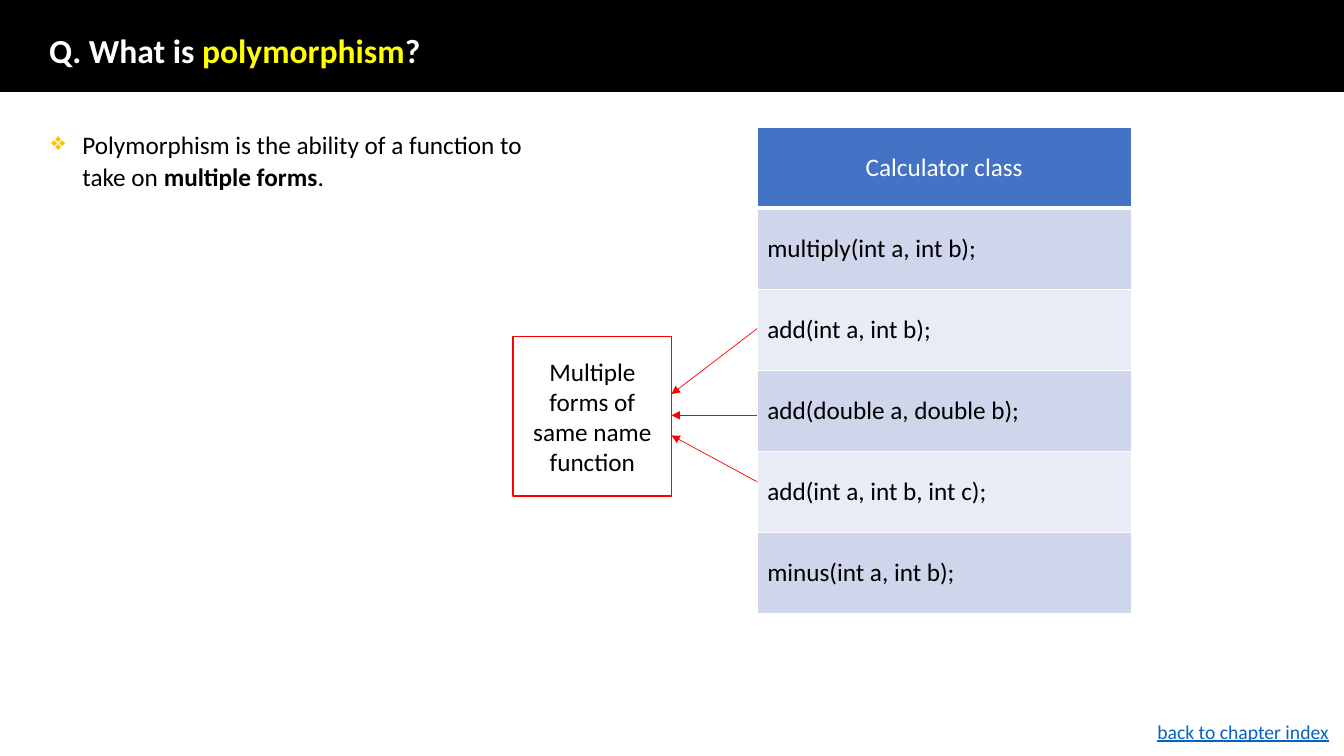
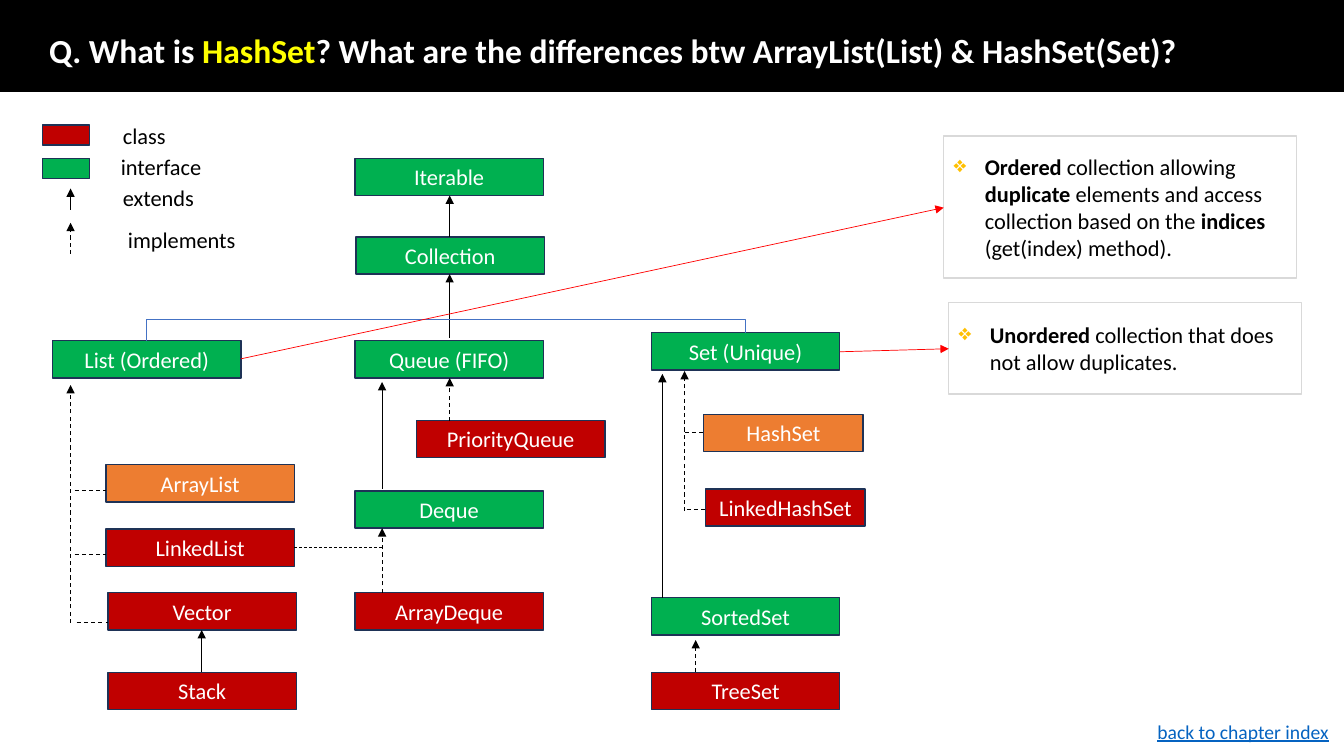
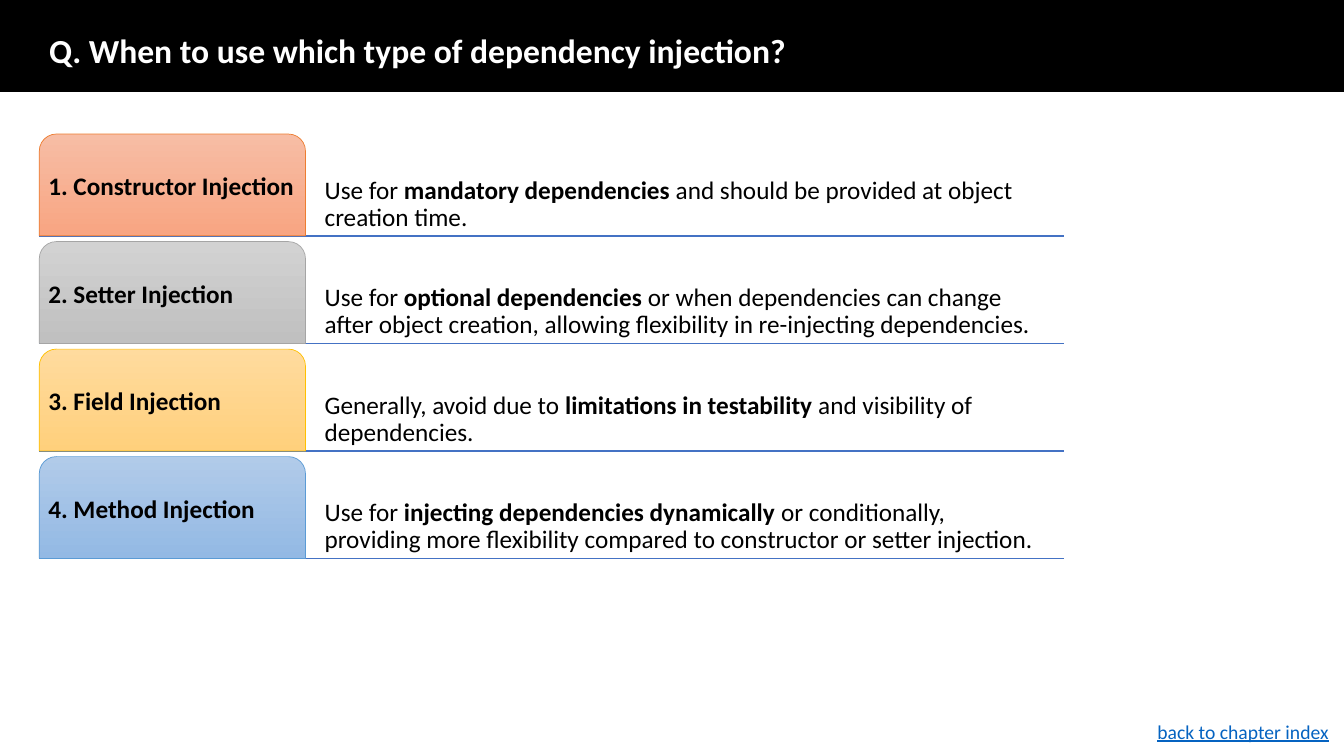
from lxml.etree import SubElement
from pptx import Presentation
from pptx.dml.color import RGBColor
from pptx.enum.dml import MSO_LINE
from pptx.enum.shapes import MSO_CONNECTOR, MSO_SHAPE
from pptx.enum.text import MSO_ANCHOR, PP_ALIGN
from pptx.oxml.ns import qn
from pptx.util import Inches, Pt

FONT = "Calibri"
BLACK = RGBColor(0x00, 0x00, 0x00)
WHITE = RGBColor(0xFF, 0xFF, 0xFF)
YELLOW = RGBColor(0xFF, 0xFF, 0x00)
RED = RGBColor(0xFF, 0x00, 0x00)
BLUE = RGBColor(0x44, 0x72, 0xC4)
LINK_BLUE = RGBColor(0x05, 0x63, 0xC1)
GOLD = RGBColor(0xFF, 0xC0, 0x00)
LIGHT_GRAY = RGBColor(0xD9, 0xD9, 0xD9)
NAVY = RGBColor(0x1E, 0x32, 0x56)
CLASS_RED = RGBColor(0xC0, 0x00, 0x00)
INTERFACE_GREEN = RGBColor(0x00, 0xB0, 0x50)
FOCUS_ORANGE = RGBColor(0xED, 0x7D, 0x31)
ROW_DARK = RGBColor(0xCF, 0xD5, 0xEA)
ROW_LIGHT = RGBColor(0xE9, 0xEB, 0xF5)

BOX_HEIGHT = 0.37


# Text
def add_runs(paragraph, pieces, size, underline=None):
    for text, color, bold in pieces:
        run = paragraph.add_run()
        run.text = text
        run.font.name = FONT
        run.font.size = Pt(size)
        run.font.color.rgb = color
        run.font.bold = bold
        run.font.underline = underline


def alternate(*texts, bold_first=False):
    """Black pieces that switch between regular and bold."""
    return [(text, BLACK, (index % 2 == 1) != bold_first)
            for index, text in enumerate(texts)]


def add_bullet(paragraph):
    properties = paragraph._p.get_or_add_pPr()
    properties.set("marL", str(Inches(0.31)))
    properties.set("indent", str(-Inches(0.31)))
    color = SubElement(properties, qn("a:buClr"))
    SubElement(color, qn("a:srgbClr")).set("val", str(GOLD))
    SubElement(properties, qn("a:buChar")).set("char", "❖")


def set_frame(shape, anchor, margin=None):
    frame = shape.text_frame
    frame.word_wrap = True
    frame.vertical_anchor = anchor
    if margin is not None:
        frame.margin_left = frame.margin_right = Inches(margin)
        frame.margin_top = frame.margin_bottom = Inches(margin)
    return frame.paragraphs[0]


def add_text(slide, left, top, width, height, pieces, size,
             anchor=MSO_ANCHOR.TOP, margin=None, spacing=None,
             bullet=False, underline=None):
    box = slide.shapes.add_textbox(
        Inches(left), Inches(top), Inches(width), Inches(height))
    paragraph = set_frame(box, anchor, margin)
    if bullet:
        add_bullet(paragraph)
    if spacing:
        paragraph.line_spacing = spacing
    add_runs(paragraph, pieces, size, underline)


# Shapes and lines
def add_box(slide, left, top, width, height, fill, outline, weight=1,
            kind=MSO_SHAPE.RECTANGLE):
    shape = slide.shapes.add_shape(
        kind, Inches(left), Inches(top), Inches(width), Inches(height))
    shape.shadow.inherit = False
    if fill is None:
        shape.fill.background()
    else:
        shape.fill.solid()
        shape.fill.fore_color.rgb = fill
    shape.line.color.rgb = outline
    shape.line.width = Pt(weight)
    return shape


def add_line(slide, start, end, color=BLACK, weight=0.5, dashed=False,
             arrow=True):
    points = [Inches(value) for value in (*start, *end)]
    line = slide.shapes.add_connector(MSO_CONNECTOR.STRAIGHT, *points)
    line.line.color.rgb = color
    line.line.width = Pt(weight)
    if dashed:
        line.line.dash_style = MSO_LINE.DASH
    if arrow:
        SubElement(line.line._get_or_add_ln(),
                   qn("a:tailEnd")).set("type", "triangle")
    SubElement(line._element.spPr, qn("a:effectLst"))


def add_type_box(slide, name, left, top, fill, width=1.87):
    shape = add_box(slide, left, top, width, BOX_HEIGHT, fill, NAVY)
    paragraph = set_frame(shape, MSO_ANCHOR.MIDDLE)
    paragraph.alignment = PP_ALIGN.CENTER
    add_runs(paragraph, [(name, WHITE, False)], 16)


def add_callout(slide, left, top, height, pieces):
    shape = add_box(slide, left, top, 3.5, height, WHITE, LIGHT_GRAY)
    paragraph = set_frame(shape, MSO_ANCHOR.MIDDLE)
    paragraph.alignment = PP_ALIGN.LEFT
    add_bullet(paragraph)
    add_runs(paragraph, pieces, 16)


# Slide frame: title band and footer
def add_question_slide(presentation, *title_texts):
    """Every second title text is highlighted."""
    slide = presentation.slides.add_slide(presentation.slide_layouts[6])
    add_box(slide, 0, 0, 13.33, 0.91, BLACK, BLACK)
    pieces = [(text, YELLOW if index % 2 else WHITE, True)
              for index, text in enumerate(title_texts)]
    add_text(slide, 0.39, 0.35, 11.7, 0.35, pieces, 24,
             MSO_ANCHOR.MIDDLE, spacing=0.9)
    add_text(slide, 11.38, 7.09, 1.95, 0.34,
             [("back to chapter index", LINK_BLUE, False)], 14,
             underline=True)
    return slide


# Table
def set_cell_borders(cell, bottom_weight):
    properties = cell._tc.get_or_add_tcPr()
    weights = {"a:lnL": 1, "a:lnR": 1, "a:lnT": 1, "a:lnB": bottom_weight}
    for index, (tag, weight) in enumerate(weights.items()):
        border = properties.makeelement(qn(tag), {"w": str(Pt(weight))})
        fill = SubElement(border, qn("a:solidFill"))
        SubElement(fill, qn("a:srgbClr")).set("val", str(WHITE))
        properties.insert(index, border)


def add_class_table(slide, left, top, width, height, rows):
    table = slide.shapes.add_table(
        len(rows), 1, Inches(left), Inches(top),
        Inches(width), Inches(height)).table
    for index, text in enumerate(rows):
        header = index == 0
        cell = table.cell(index, 0)
        cell.vertical_anchor = MSO_ANCHOR.MIDDLE
        cell.fill.solid()
        cell.fill.fore_color.rgb = (
            BLUE if header else ROW_DARK if index % 2 else ROW_LIGHT)
        set_cell_borders(cell, 3 if header else 1)
        paragraph = cell.text_frame.paragraphs[0]
        if header:
            paragraph.alignment = PP_ALIGN.CENTER
        add_runs(paragraph, [(text, WHITE if header else BLACK, False)], 18)


def build_polymorphism(presentation):
    slide = add_question_slide(
        presentation, "Q. What is ", "polymorphism", "?")
    add_text(slide, 0.41, 1.21, 5.33, 0.73, alternate(
        "Polymorphism is the ability of a function to take on ",
        "multiple forms", "."), 18, spacing=1.07, bullet=True)
    add_class_table(slide, 7.51, 1.26, 3.71, 4.83, [
        "Calculator class", "multiply(int a, int b);",
        "add(int a, int b);", "add(double a, double b);",
        "add(int a, int b, int c);", "minus(int a, int b);"])

    note = add_box(slide, 5.09, 3.34, 1.57, 1.58, None, RED)
    paragraph = set_frame(note, MSO_ANCHOR.MIDDLE)
    paragraph.alignment = PP_ALIGN.CENTER
    add_runs(paragraph, alternate("Multiple forms of same name function"), 18)
    for row_y, note_y in ((3.26, 3.91), (4.12, 4.12), (4.78, 4.32)):
        add_line(slide, (7.51, row_y), (6.66, note_y), RED)


def build_collections(presentation):
    slide = add_question_slide(
        presentation, "Q. What is ", "HashSet",
        "? What are the differences btw ArrayList(List) & HashSet(Set)?")

    # Legend
    for top, fill in ((1.24, CLASS_RED), (1.57, INTERFACE_GREEN)):
        add_box(slide, 0.42, top, 0.47, 0.2, fill, NAVY)
    add_line(slide, (0.7, 2.08), (0.7, 1.87))
    add_line(slide, (0.7, 2.52), (0.7, 2.21), weight=0.75, dashed=True)
    for label, left, top in (("class", 1.12, 1.16), ("interface", 1.1, 1.47),
                             ("extends", 1.12, 1.78),
                             ("implements", 1.17, 2.19)):
        add_text(slide, left, top, 1.52, BOX_HEIGHT, alternate(label), 16)

    # Types
    for name, left, top in (
            ("Iterable", 3.52, 1.57), ("Collection", 3.53, 2.35),
            ("List (Ordered)", 0.52, 3.38), ("Queue (FIFO)", 3.52, 3.38),
            ("Set (Unique)", 6.46, 3.3), ("Deque", 3.52, 4.87),
            ("SortedSet", 6.46, 5.93)):
        add_type_box(slide, name, left, top, INTERFACE_GREEN)
    for name, left, top in (
            ("LinkedList", 1.05, 5.25), ("Vector", 1.07, 5.88),
            ("Stack", 1.07, 6.67), ("PriorityQueue", 4.13, 4.17),
            ("ArrayDeque", 3.52, 5.88), ("TreeSet", 6.46, 6.67)):
        add_type_box(slide, name, left, top, CLASS_RED)
    add_type_box(slide, "LinkedHashSet", 7, 4.85, CLASS_RED, 1.58)
    add_type_box(slide, "ArrayList", 1.05, 4.61, FOCUS_ORANGE)
    add_type_box(slide, "HashSet", 6.98, 4.11, FOCUS_ORANGE, 1.58)

    # Extends arrows: x, from y, to y
    for x, start, end in ((4.46, 2.35, 1.94), (4.46, 3.35, 2.72),
                          (6.57, 5.93, 3.71), (3.79, 4.85, 3.79),
                          (2, 6.67, 6.25)):
        add_line(slide, (x, start), (x, end))

    # Implements arrows: x, from y, to y
    for x, start, end in ((6.79, 5.07, 3.68), (6.9, 6.67, 6.35),
                          (3.79, 5.88, 5.24), (4.46, 4.18, 3.75),
                          (0.7, 6.18, 3.82)):
        add_line(slide, (x, start), (x, end), weight=0.75, dashed=True)

    # Implements branches: y, from x, to x
    for y, start, end in ((5.05, 6.81, 7.01), (4.29, 6.79, 6.98),
                          (5.5, 0.74, 1.05), (4.87, 0.74, 1.05),
                          (6.18, 0.76, 1.07)):
        add_line(slide, (start, y), (end, y), weight=0.75, dashed=True,
                 arrow=False)
    add_line(slide, (2.92, 5.43), (3.79, 5.43), dashed=True, arrow=False)

    # Bracket joining List and Set
    builder = slide.shapes.build_freeform(Inches(1.45), Inches(3.38))
    builder.add_line_segments(
        [(Inches(x), Inches(y))
         for x, y in ((1.45, 3.17), (7.39, 3.17), (7.39, 3.3))], close=False)
    bracket = builder.convert_to_shape()
    bracket.shadow.inherit = False
    bracket.fill.background()
    bracket.line.color.rgb = BLUE
    bracket.line.width = Pt(0.5)

    # Callouts
    add_callout(slide, 9.36, 1.35, 1.41, alternate(
        "Ordered", " collection allowing ", "duplicate",
        " elements and access collection based on the ", "indices",
        " (get(index) method).", bold_first=True))
    add_callout(slide, 9.41, 3, 0.91, alternate(
        "Unordered", " collection that does not allow duplicates.",
        bold_first=True))
    add_line(slide, (2.39, 3.56), (9.36, 2.06), RED)
    add_line(slide, (8.33, 3.49), (9.41, 3.46), RED)


def add_injection_row(slide, top, name, colors, pieces):
    light, dark, outline = (RGBColor.from_string(color) for color in colors)
    height = 1.01
    add_line(slide, (0.39, top + height), (10.55, top + height), BLUE, 1,
             arrow=False)
    tab = add_box(slide, 0.39, top, 2.64, height, None, outline, 0.5,
                  MSO_SHAPE.ROUND_2_SAME_RECTANGLE)
    tab.fill.gradient()
    tab.fill.gradient_angle = 270
    for stop, color in zip(tab.fill.gradient_stops, (light, dark)):
        stop.color.rgb = color
    paragraph = set_frame(tab, MSO_ANCHOR.MIDDLE, 0.04)
    paragraph.alignment = PP_ALIGN.LEFT
    paragraph.line_spacing = 0.9
    add_runs(paragraph, alternate(name, bold_first=True), 18)
    add_text(slide, 3.18, top, 7.22, height, pieces, 18,
             MSO_ANCHOR.BOTTOM, 0.04, 0.9)


def build_injection(presentation):
    slide = add_question_slide(
        presentation, "Q. When to use which type of dependency injection?")
    rows = [
        ("1. Constructor Injection", ("F7BDA5", "F8A582", "ED7D31"),
         alternate("Use for ", "mandatory dependencies ",
                   "and should be provided at object creation time.")),
        ("2. Setter Injection", ("D2D2D2", "C0C0C0", "A5A5A5"),
         alternate("Use for ", "optional dependencies",
                   " or when dependencies can change after object creation, "
                   "allowing flexibility in re-injecting dependencies.")),
        ("3. Field Injection", ("FFDB9E", "FFD07C", "FFC000"),
         alternate("Generally, avoid due to ", "limitations in testability",
                   " and visibility of dependencies.")),
        ("4. Method Injection", ("B1CBE9", "93B9E4", "5B9BD5"),
         alternate("Use for ", "injecting dependencies dynamically",
                   " or conditionally, providing more flexibility compared "
                   "to constructor or setter injection.")),
    ]
    first_top, last_top = 1.33, 4.53
    pitch = (last_top - first_top) / (len(rows) - 1)
    for index, row in enumerate(rows):
        add_injection_row(slide, first_top + index * pitch, *row)


def main():
    presentation = Presentation()
    presentation.slide_width = Inches(13.33)
    presentation.slide_height = Inches(7.5)
    build_polymorphism(presentation)
    build_collections(presentation)
    build_injection(presentation)
    presentation.save("out.pptx")


if __name__ == "__main__":
    main()
